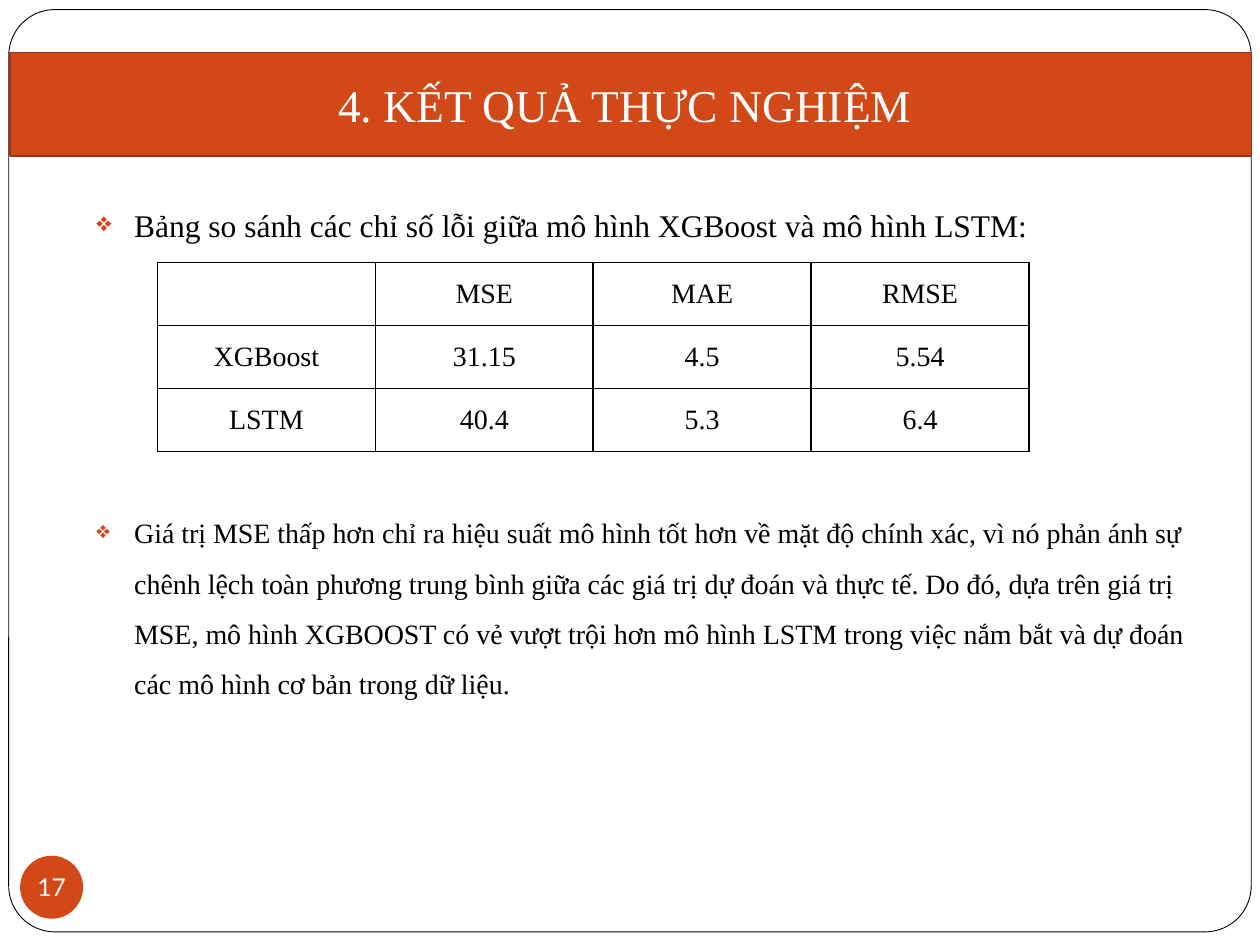
from lxml.etree import SubElement
from pptx import Presentation
from pptx.dml.color import RGBColor
from pptx.enum.shapes import MSO_SHAPE
from pptx.enum.text import MSO_ANCHOR, PP_ALIGN
from pptx.oxml import parse_xml
from pptx.oxml.ns import nsdecls, qn
from pptx.util import Pt

COLORS = {"accent": "D34817", "accent_line": "9C3511", "ink": "000000", "paper": "FFFFFF"}
SERIF = "Times New Roman"


def write(paragraph, text, size, color, font=SERIF, **formats):
    for name, value in formats.items():
        setattr(paragraph, name, value)
    run = paragraph.add_run()
    run.text = text
    for name, value in {"name": font, "size": Pt(size), "bold": False}.items():
        setattr(run.font, name, value)
    run.font.color.rgb = RGBColor.from_string(COLORS[color])


def add_block(kind, box, fill, line=None, width=0):
    shape = slide.shapes.add_shape(kind, *map(Pt, box))
    shape.shadow.inherit = False
    shape.fill.solid()
    shape.fill.fore_color.rgb = RGBColor.from_string(COLORS[fill])
    if line:
        shape.line.color.rgb = RGBColor.from_string(COLORS[line])
        shape.line.width = Pt(width)
    else:
        shape.line.fill.background()
    return shape


presentation = Presentation()
presentation.slide_width = Pt(720)
presentation.slide_height = Pt(540)
slide = presentation.slides.add_slide(presentation.slide_layouts[6])

frame = add_block(MSO_SHAPE.ROUNDED_RECTANGLE, (5, 5.5, 710, 527), "paper", "ink", 0.5)
frame.adjustments[0] = 0.05

banner = add_block(MSO_SHAPE.RECTANGLE, (5.8, 30, 709.4, 59.2), "accent", "accent_line", 1)
banner.text_frame.vertical_anchor = MSO_ANCHOR.MIDDLE
write(banner.text_frame.paragraphs[0], "4. KẾT QUẢ THỰC NGHIỆM ", 26, "paper",
      alignment=PP_ALIGN.CENTER)

body = slide.shapes.add_textbox(Pt(48), Pt(114), Pt(636), Pt(360)).text_frame
body.word_wrap = True
bullets = [
    ("Bảng so sánh các chỉ số lỗi giữa mô hình XGBoost và mô hình LSTM:", 18, 1, 5.8),
    ("Giá trị MSE thấp hơn chỉ ra hiệu suất mô hình tốt hơn về mặt độ chính xác, "
     "vì nó phản ánh sự chênh lệch toàn phương trung bình giữa các giá trị dự đoán và thực tế. "
     "Do đó, dựa trên giá trị MSE, mô hình XGBOOST có vẻ vượt trội hơn mô hình LSTM "
     "trong việc nắm bắt và dự đoán các mô hình cơ bản trong dữ liệu.", 16, 1.5, 146),
]
for index, (text, size, spacing, before) in enumerate(bullets):
    paragraph = body.add_paragraph() if index else body.paragraphs[0]
    write(paragraph, text, size, "ink", line_spacing=spacing, space_before=Pt(before))
    properties = paragraph._p.get_or_add_pPr()
    properties.set("marL", str(Pt(21.6)))
    properties.set("indent", str(-Pt(21.6)))
    bullet_color = SubElement(properties, qn("a:buClr"))
    SubElement(bullet_color, qn("a:srgbClr"), val=COLORS["accent"])
    SubElement(properties, qn("a:buSzPct"), val="85000")
    SubElement(properties, qn("a:buChar"), char="❖")

badge = add_block(MSO_SHAPE.OVAL, (11.5, 489, 36, 36), "accent")
badge_format = {"margin_left": 0, "margin_right": 0, "margin_top": 0, "margin_bottom": 0,
                "word_wrap": False, "vertical_anchor": MSO_ANCHOR.MIDDLE}
for name, value in badge_format.items():
    setattr(badge.text_frame, name, value)
write(badge.text_frame.paragraphs[0], "17", 14, "paper", "Lato", alignment=PP_ALIGN.CENTER)

scores = [
    ("", "MSE", "MAE", "RMSE"),
    ("XGBoost", "31.15", "4.5", "5.54"),
    ("LSTM", "40.4", "5.3", "6.4"),
]
table = slide.shapes.add_table(3, 4, Pt(90), Pt(150), Pt(498), Pt(108)).table
table.first_row = table.horz_banding = False
for column in table.columns:
    column.width = Pt(124.5)
for row in table.rows:
    row.height = Pt(36)
cell_format = {"margin_left": Pt(5), "margin_right": Pt(5), "margin_top": 0, "margin_bottom": 0}
for row_index, values in enumerate(scores):
    for column_index, value in enumerate(values):
        cell = table.cell(row_index, column_index)
        for name, setting in cell_format.items():
            setattr(cell, name, setting)
        paragraph = cell.text_frame.paragraphs[0]
        if value:
            write(paragraph, value, 16, "ink", alignment=PP_ALIGN.CENTER, line_spacing=1.5)
        else:
            paragraph.font.size = Pt(16)
        cell.fill.background()
        properties = cell._tc.get_or_add_tcPr()
        for position, side in enumerate(("lnL", "lnR", "lnT", "lnB")):
            properties.insert(position, parse_xml(
                f'<a:{side} {nsdecls("a")} w="{Pt(1)}"><a:solidFill>'
                f'<a:srgbClr val="{COLORS["ink"]}"/></a:solidFill></a:{side}>'))

presentation.save("out.pptx")
